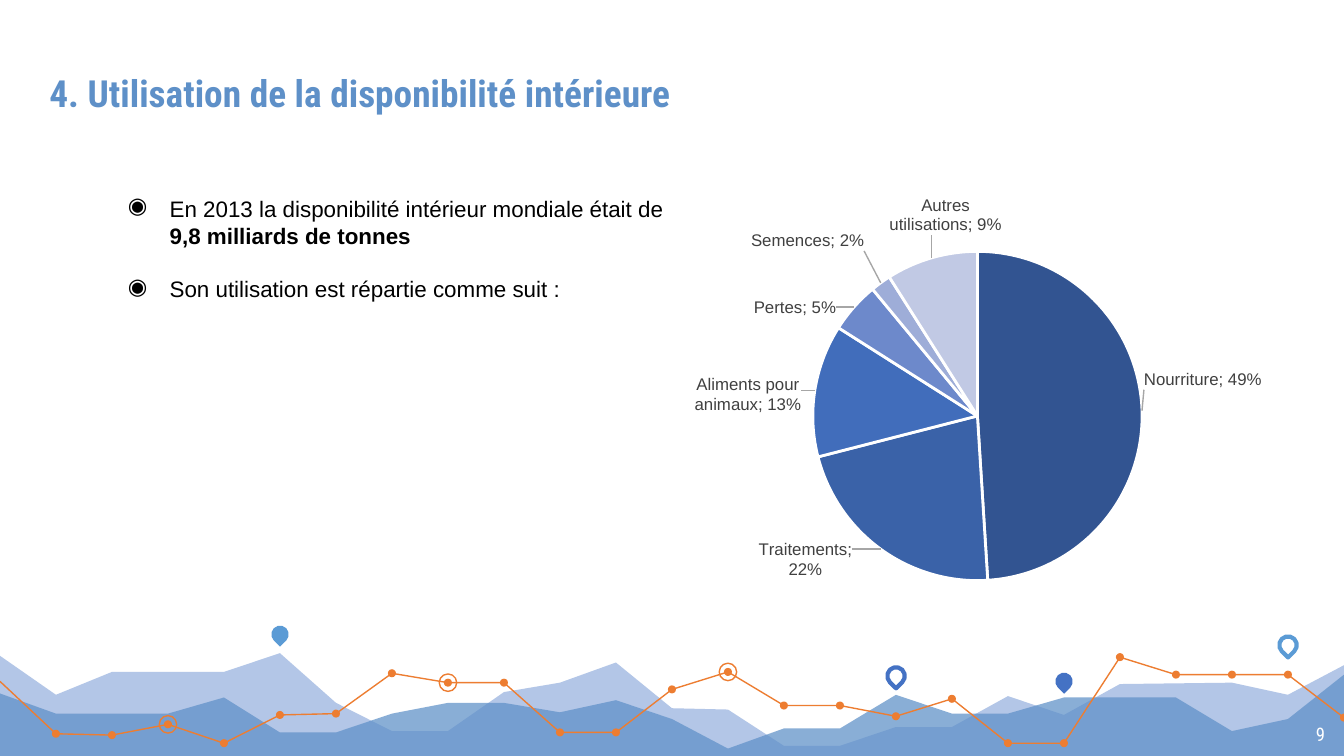
from copy import deepcopy

from pptx import Presentation
from pptx import util as u
from pptx.chart import data as cd
from pptx.dml import color as dc
from pptx.enum import chart as ch, shapes, text
from pptx.oxml import parse_xml, ns

COLORS = {
    "title": "5E90C8", "light": "B3C6E7", "mid": "5E90C8", "sky": "5B9BD5",
    "blue": "4472C4", "orange": "ED7D31", "black": "000000", "white": "FFFFFF",
    "label": "404040", "leader": "A6A6A6",
}
SLICES = [
    ("Nourriture", 0.49, "325491", (-0.01, -0.06)),
    ("Traitements", 0.22, "3A62A8", (-0.04, -0.03)),
    ("Aliments pour animaux", 0.13, "416DBB", (-0.01, 0.05)),
    ("Pertes", 0.05, "6D89CB", (-0.02, 0.03)),
    ("Semences", 0.02, "9EADD8", (-0.02, -0.05)),
    ("Autres utilisations", 0.09, "C1C9E4", (0.12, -0.03)),
]
BACK_HILLS = [
    (0, 48.8), (1, 51.7), (2, 50), (4, 50), (5, 48.6), (6, 52.3), (7, 54.4), (8, 54.4),
    (9, 51.5), (10, 50.8), (11, 49.3), (12, 52.7), (13, 52.8), (14, 55.5), (15, 55.5),
    (16, 54.1), (17, 54.1), (18, 51.8), (19, 53.2), (20, 50.9), (22, 50.8), (23, 51.7),
    (24, 49.5),
]
FRONT_HILLS = [
    (0, 51.6), (1, 53.1), (3, 53.1), (4, 51.9), (5, 54.5), (6, 54.5), (7, 53.1), (8, 52.3),
    (9, 52.3), (10, 53), (11, 52.1), (12, 53.5), (13, 55.7), (14, 54.2), (15, 54.2),
    (16, 51.7), (17, 53.1), (18, 53.1), (19, 51.9), (21, 51.9), (22, 54.4), (23, 53.5),
    (24, 50.2),
]
GROUND = [(24, 56.4), (0, 56.4)]
TREND = list(enumerate([
    50.7, 54.6, 54.7, 53.9, 55.3, 53.2, 53.1, 50.1, 50.8, 50.8, 54.5, 54.5, 51.3,
    50, 52.5, 52.5, 53.3, 52, 55.3, 55.3, 48.9, 50.2, 50.2, 50.2, 53.4,
]))


def rgb(name):
    return dc.RGBColor.from_string(COLORS.get(name, name))


def element(tag, body="", attrs=""):
    prefix = tag.split(":")[0]
    return parse_xml(f"<{tag} {ns.nsdecls(*dict.fromkeys([prefix, 'a']))} {attrs}>{body}</{tag}>")


class Deck:
    heading, body = "Roboto Condensed", "Arial"
    col, row = u.Inches(10) / 24, u.Inches(0.1)

    def __init__(self):
        self.prs = Presentation()
        self.prs.slide_width = u.Inches(10)
        self.prs.slide_height = u.Inches(10) * 9 // 16
        self.s = self.prs.slides.add_slide(self.prs.slide_layouts[5])

    def point(self, x, y):
        return round(x * self.col), round(y * self.row)

    def box(self, x, y, w, h):
        return *self.point(x, y), *self.point(w, h)

    def paint(self, sp, fill=None, line=None, width=0.75):
        sp.shadow.inherit = False
        if fill:
            sp.fill.solid()
            sp.fill.fore_color.rgb = rgb(fill)
        else:
            sp.fill.background()
        if line:
            sp.line.color.rgb = rgb(line)
            sp.line.width = u.Pt(width)
        else:
            sp.line.fill.background()

    def outline(self, points, close=False, alpha=None, **style):
        first, *rest = [self.point(*pt) for pt in points]
        builder = self.s.shapes.build_freeform(*first)
        builder.add_line_segments(rest, close=close)
        sp = builder.convert_to_shape()
        self.paint(sp, **style)
        if alpha:
            clr = sp.fill._xPr.find(".//" + ns.qn("a:srgbClr"))
            clr.append(element("a:alpha", attrs=f'val="{alpha * 1000}"'))

    def marker(self, kind, x, y, size, **style):
        cx, cy = self.point(x, y)
        d = u.Inches(size)
        sp = self.s.shapes.add_shape(kind, cx - d // 2, cy - d // 2, d, d)
        self.paint(sp, **style)
        return sp

    def dot(self, x, y):
        self.marker(shapes.MSO_SHAPE.OVAL, x, y, 0.06, fill="orange")

    def ring(self, x, y):
        self.marker(shapes.MSO_SHAPE.OVAL, x, y, 0.13, line="orange")

    def pin(self, x, y, **style):
        sp = self.marker(shapes.MSO_SHAPE.TEAR, x, y, 0.13, **style)
        sp.rotation = 135

    def frame(self, sp, anchor):
        tf = sp.text_frame
        tf.word_wrap, tf.auto_size = True, text.MSO_AUTO_SIZE.NONE
        tf.vertical_anchor = anchor
        tf.margin_left = tf.margin_right = tf.margin_top = tf.margin_bottom = u.Inches(0.1)
        return tf

    def run(self, p, words, size, font, color, bold=False):
        r = p.add_run()
        r.text = words
        r.font.size, r.font.name, r.font.bold = u.Pt(size), font, bold
        r.font.color.rgb = rgb(color)

    def title(self, words, *cell):
        sp = self.s.shapes.title
        sp.left, sp.top, sp.width, sp.height = self.box(*cell)
        p = self.frame(sp, text.MSO_ANCHOR.BOTTOM).paragraphs[0]
        p.alignment = text.PP_ALIGN.LEFT
        self.run(p, words, 20, self.heading, "title", True)

    def number(self, words, *cell):
        sp = self.s.shapes.add_textbox(*self.box(*cell))
        p = self.frame(sp, text.MSO_ANCHOR.TOP).paragraphs[0]
        p.alignment = text.PP_ALIGN.RIGHT
        self.run(p, words, 10, self.heading, "white")

    def bullets(self, items, *cell):
        sp = self.s.shapes.add_textbox(*self.box(*cell))
        tf = self.frame(sp, text.MSO_ANCHOR.TOP)
        for i, runs in enumerate(items):
            p = tf.add_paragraph() if i else tf.paragraphs[0]
            p.space_before = u.Pt(14.4 if i else 0)
            pPr = p._p.get_or_add_pPr()
            pPr.set("marL", str(u.Inches(0.81)))
            pPr.set("indent", str(u.Inches(-0.31)))
            pPr.append(element("a:buClr", f'<a:srgbClr val="{COLORS["black"]}"/>'))
            pPr.append(element("a:buChar", attrs='char="◉"'))
            for words, bold in runs:
                self.run(p, words, 12, self.body, "black", bold)

    def pie(self, slices, *cell):
        data = cd.CategoryChartData(number_format="0%")
        data.categories = [name for name, *_ in slices]
        data.add_series("Series 1", [value for _, value, *_ in slices])
        chart = self.s.shapes.add_chart(ch.XL_CHART_TYPE.PIE, *self.box(*cell), data).chart
        chart.has_legend = chart.has_title = False
        chart.font.size, chart.font.name = u.Pt(10), self.body
        chart.font.color.rgb = rgb("black")
        chart.plots[0].vary_by_categories = True
        series = chart.plots[0].series[0]
        for i, (_, _, color, _) in enumerate(slices):
            fmt = series.points[i].format
            fmt.fill.solid()
            fmt.fill.fore_color.rgb = rgb(color)
            fmt.line.color.rgb, fmt.line.width = rgb("white"), u.Pt(1.5)
        self.plot_area(chart, x=0.234, y=0.216, w=0.547, h=0.645)
        self.pie_labels(series.data_labels, [shift for *_, shift in slices])

    def plot_area(self, chart, **shares):
        area = chart._chartSpace.find(".//" + ns.qn("c:plotArea"))
        for old in area.findall(ns.qn("c:layout")):
            area.remove(old)
        modes = '<c:layoutTarget val="inner"/><c:xMode val="edge"/><c:yMode val="edge"/>'
        sizes = "".join(f'<c:{k} val="{v}"/>' for k, v in shares.items())
        area.insert(0, element("c:layout", f"<c:manualLayout>{modes}{sizes}</c:manualLayout>"))

    def pie_labels(self, labels, shifts):
        labels.show_value = labels.show_category_name = True
        labels.number_format, labels.number_format_is_linked = "0%", False
        labels.position = ch.XL_LABEL_POSITION.BEST_FIT
        labels.font.size, labels.font.name = u.Pt(9), self.body
        labels.font.color.rgb = rgb("label")
        root = labels._element
        for old in root.findall(ns.qn("c:showLeaderLines")):
            root.remove(old)
        root.append(element("c:separator", "; "))
        shared = list(root)
        for i, (x, y) in enumerate(shifts):
            place = f'<c:manualLayout><c:x val="{x}"/><c:y val="{y}"/></c:manualLayout>'
            label = element("c:dLbl", f'<c:idx val="{i}"/><c:layout>{place}</c:layout>')
            label.extend([deepcopy(part) for part in shared])
            root.insert(i, label)
        root.append(element("c:showLeaderLines", attrs='val="1"'))
        line = f'<a:ln w="9525"><a:solidFill><a:srgbClr val="{COLORS["leader"]}"/></a:solidFill></a:ln>'
        root.append(element("c:leaderLines", f"<c:spPr>{line}</c:spPr>"))


def main():
    d = Deck()
    d.outline(BACK_HILLS + GROUND, close=True, fill="light")
    d.outline(FRONT_HILLS + GROUND, close=True, fill="mid", alpha=73)
    d.pin(5, 47.2, fill="sky")
    d.pin(16, 50.3, line="blue", width=2.25)
    d.pin(19, 50.7, fill="blue")
    for start, end in [(0, 11), (11, 20), (20, 24)]:
        d.outline(TREND[start:end + 1], line="orange")
    for spot in TREND[1:]:
        d.dot(*spot)
    for i in (8, 3, 13):
        d.ring(*TREND[i])
    d.pin(23, 48, line="sky", width=2.25)
    d.title("4. Utilisation de la disponibilité intérieure", 0.64, 3.45, 22.49, 6.1)
    d.number("9", 22.46, 52.8, 1.44, 3.5)
    d.bullets([
        [("En 2013 la disponibilité intérieur mondiale était de ", False),
         ("9,8 milliards de tonnes", True)],
        [("Son utilisation est répartie comme suit :", False)],
    ], 0.85, 13.5, 11.59, 10.3)
    d.pie(SLICES, 12, 10.5, 10.75, 38)
    d.prs.save("out.pptx")


if __name__ == "__main__":
    main()
